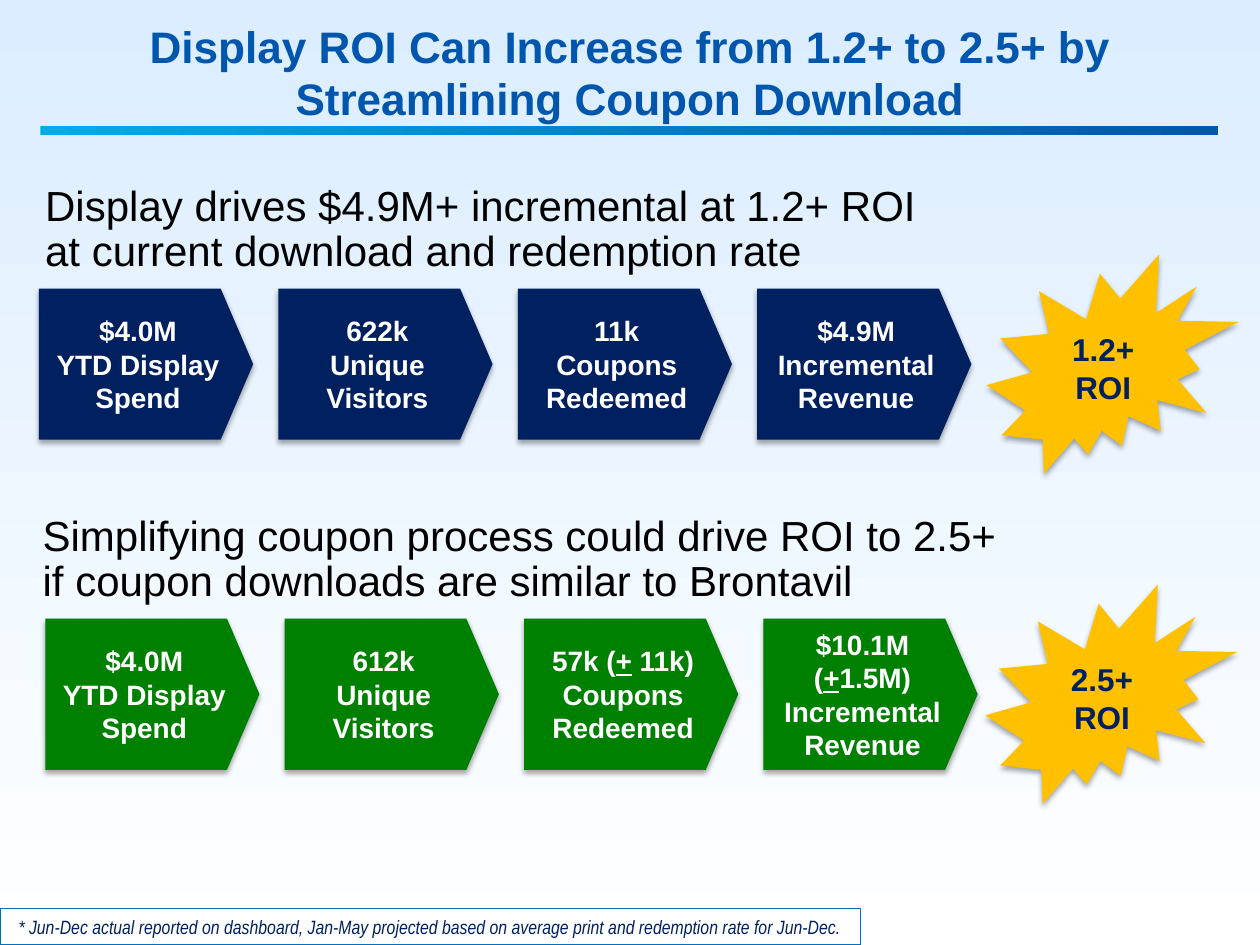
from lxml import etree
from pptx import Presentation
from pptx.dml.color import RGBColor
from pptx.enum import shapes, text
from pptx.oxml.ns import qn
from pptx.util import Inches, Pt

NAVY, GREEN, GOLD, BLUE = "002060", "008000", "FFC000", "0056AC"
WHITE, BLACK = "FFFFFF", "000000"
CENTER = text.PP_ALIGN.CENTER
STEP_PITCH = 1.9


def color(value):
    return RGBColor.from_string(value)


def set_gradient(fill, start, end, angle):
    fill.gradient()
    fill.gradient_angle = angle
    for stop, value in zip(fill.gradient_stops, (start, end)):
        stop.color.rgb = color(value)


def add_shadow(sp):
    effects = sp._element.spPr.find(qn("a:effectLst"))
    shadow = etree.SubElement(effects, qn("a:outerShdw"), blurRad=str(Pt(3.1)),
                              dist=str(Pt(1.8)), dir="5400000", rotWithShape="0")
    rgb = etree.SubElement(shadow, qn("a:srgbClr"), val=BLACK)
    etree.SubElement(rgb, qn("a:alpha"), val="35000")


def add_shape(s, kind, box, fill=None):
    sp = s.shapes.add_shape(kind, *map(Inches, box))
    sp.shadow.inherit = False
    sp.line.fill.background()
    if fill:
        sp.fill.solid()
        sp.fill.fore_color.rgb = color(fill)
        add_shadow(sp)
    else:
        sp.fill.background()
    return sp


def set_text(sp, content, size, ink, bold=False, italic=False, font="Arial",
             align=CENTER, anchor=text.MSO_ANCHOR.MIDDLE):
    """Write one paragraph; underscores enclose underlined characters."""
    tf = sp.text_frame
    tf.word_wrap = True
    tf.vertical_anchor = anchor
    p = tf.paragraphs[0]
    p.alignment = align
    p.font.name, p.font.size = font, Pt(size)
    p.font.bold, p.font.italic = bold, italic
    p.font.color.rgb = color(ink)
    for i, line in enumerate(content.split("\n")):
        if i:
            p.add_line_break()
        for j, part in enumerate(line.split("_")):
            r = p.add_run()
            r.text = part
            if j % 2:
                r.font.underline = True
    return p


def add_heading(s, left, top, content):
    sp = s.shapes.add_textbox(*map(Inches, (left, top, 9.41, 0.83)))
    p = set_text(sp, content, 24, BLACK, align=text.PP_ALIGN.LEFT,
                 anchor=text.MSO_ANCHOR.TOP)
    p.line_spacing = 0.9


def add_flow(s, left, top, fill, steps):
    for i, step in enumerate(steps):
        sp = add_shape(s, shapes.MSO_SHAPE.PENTAGON,
                       (left + i * STEP_PITCH, top, 1.7, 1.2), fill)
        sp.adjustments[0] = 0.215
        set_text(sp, step, 16, WHITE, bold=True)


def add_burst(s, left, top, content):
    sp = add_shape(s, shapes.MSO_SHAPE.EXPLOSION2, (left, top, 2, 1.74), GOLD)
    sp.text_frame.margin_left = sp.text_frame.margin_right = 0
    set_text(sp, content, 18, NAVY, bold=True)


def main():
    prs = Presentation()
    prs.slide_width, prs.slide_height = Inches(10), Inches(7.5)
    s = prs.slides.add_slide(prs.slide_layouts[6])
    set_gradient(s.background.fill, "DBEDFF", WHITE, 270)

    # Title and rule
    rule = add_shape(s, shapes.MSO_SHAPE.RECTANGLE, (0.32, 1, 9.35, 0.07))
    set_gradient(rule.fill, "00ABE8", BLUE, 0)
    title = s.shapes.add_textbox(*map(Inches, (0.22, 0.17, 9.56, 0.87)))
    set_text(title, "Display ROI Can Increase from 1.2+ to 2.5+ by "
             "Streamlining Coupon Download", 25.2, BLUE, bold=True,
             anchor=text.MSO_ANCHOR.BOTTOM)

    # Current performance
    add_heading(s, 0.26, 1.42, "Display drives $4.9M+ incremental at 1.2+ ROI\n"
                "at current download and redemption rate")
    add_flow(s, 0.31, 2.29, NAVY, [
        "$4.0M\nYTD Display\nSpend", "622k\nUnique Visitors",
        "11k\nCoupons Redeemed", "$4.9M Incremental Revenue"])
    add_burst(s, 7.83, 2.02, "1.2+ ROI")

    # Simplified coupon process
    add_heading(s, 0.24, 4.04, "Simplifying coupon process could drive ROI to 2.5+\n"
                "if coupon downloads are similar to Brontavil")
    add_flow(s, 0.36, 4.91, GREEN, [
        "$4.0M\nYTD Display\nSpend", "612k\nUnique Visitors",
        "57k (_+_ 11k)\nCoupons Redeemed",
        "$10.1M (_+_1.5M) Incremental Revenue"])
    add_burst(s, 7.82, 4.64, "2.5+ ROI")

    # Footnote
    note = add_shape(s, shapes.MSO_SHAPE.RECTANGLE, (0, 7.21, 6.83, 0.29))
    note.line.color.rgb = color("0070C0")
    note.line.width = Pt(0.75)
    set_text(note, "* Jun-Dec actual reported on dashboard, Jan-May projected based on "
             "average print and redemption rate for Jun-Dec.", 11, NAVY,
             italic=True, font="Arial Narrow")

    prs.save("out.pptx")


if __name__ == "__main__":
    main()
